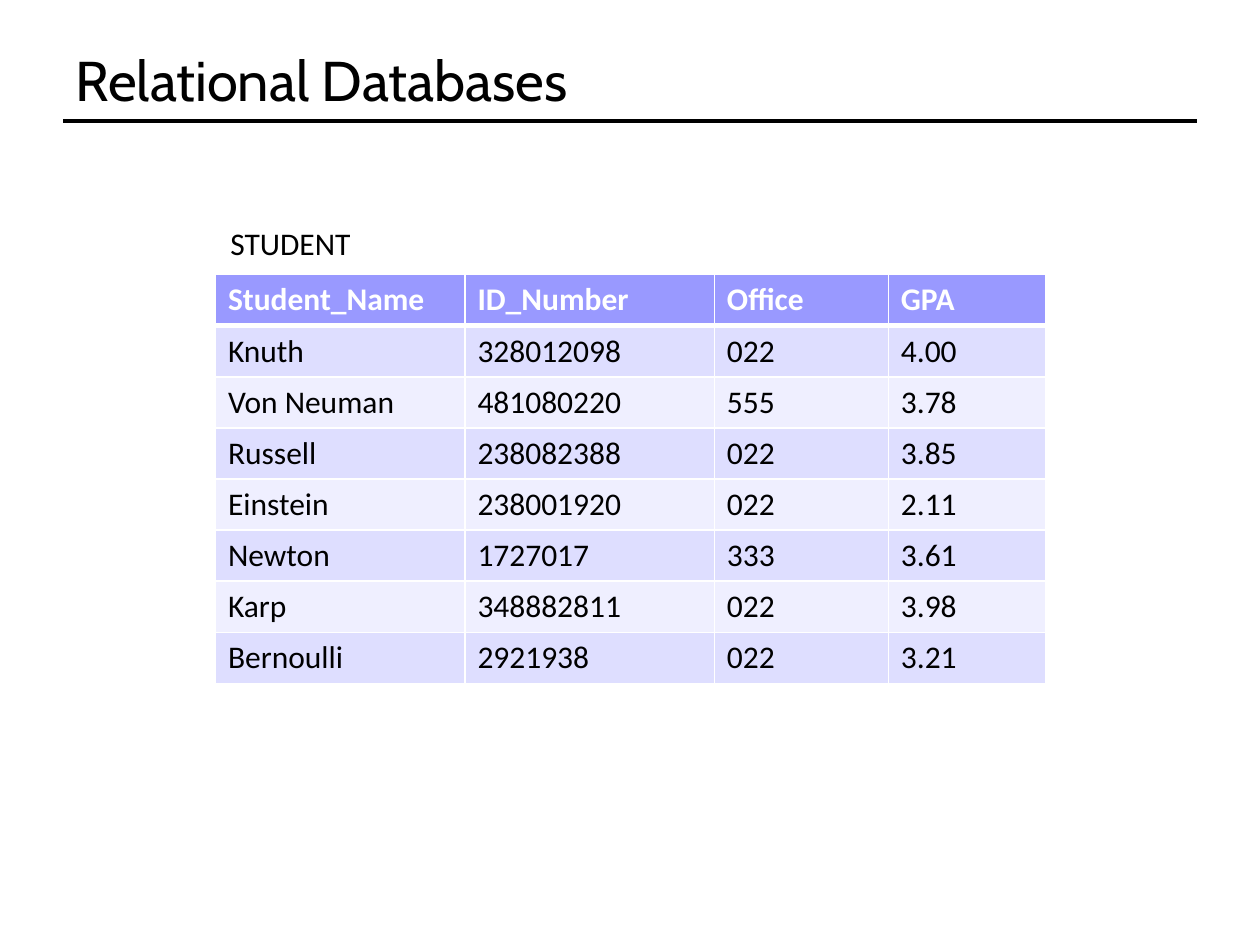
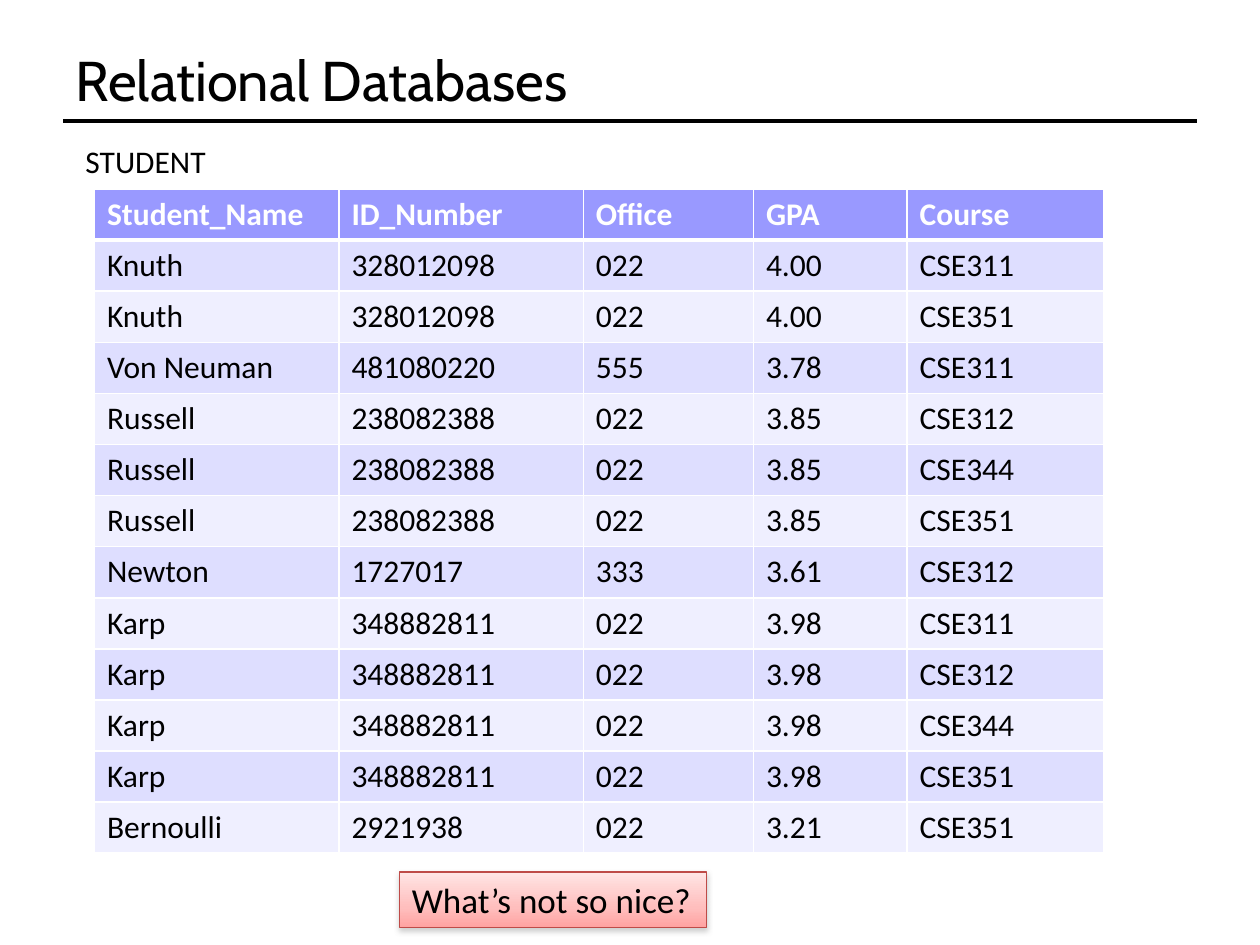
from lxml.etree import SubElement as Sub
from pptx import Presentation
from pptx.dml.color import RGBColor as Rgb
from pptx.enum.shapes import MSO_CONNECTOR as Conn, MSO_SHAPE as Shape
from pptx.enum.text import MSO_ANCHOR as Anchor, MSO_AUTO_SIZE as Auto, PP_ALIGN as Align
from pptx.oxml.ns import qn
from pptx.util import Inches, Pt

COLORS = {
    "ink": "000000", "white": "FFFFFF", "head": "9999FF",
    "odd": "DEDEFF", "even": "EFEFFF", "edge": "BE4B48", "shade": "808080",
}
BLUSH = [(0, "FFE5E5"), (65, "FFBEBD"), (100, "FFA2A1")]
HEADS = ["Student_Name", "ID_Number", "Office", "GPA"]
STUDENTS = {
    "Knuth": ("328012098", "022", "4.00"),
    "Von Neuman": ("481080220", "555", "3.78"),
    "Russell": ("238082388", "022", "3.85"),
    "Einstein": ("238001920", "022", "2.11"),
    "Newton": ("1727017", "333", "3.61"),
    "Karp": ("348882811", "022", "3.98"),
    "Bernoulli": ("2921938", "022", "3.21"),
}
COURSES = {
    "Knuth": ["CSE311", "CSE351"],
    "Von Neuman": ["CSE311"],
    "Russell": ["CSE312", "CSE344", "CSE351"],
    "Newton": ["CSE312"],
    "Karp": ["CSE311", "CSE312", "CSE344", "CSE351"],
    "Bernoulli": ["CSE351"],
}


def color(name):
    return Rgb.from_string(COLORS[name])


def write(frame, text, size=18, font="Calibri", ink="ink", bold=False):
    para = frame.paragraphs[0]
    para.alignment = Align.LEFT
    run = para.add_run()
    run.text = text
    run.font.size, run.font.name, run.font.bold = Pt(size), font, bold
    run.font.color.rgb = color(ink)


def add_text(slide, text, box, wrap=False, **style):
    frame = slide.shapes.add_textbox(*map(Inches, box)).text_frame
    frame.word_wrap = wrap
    frame.auto_size = Auto.NONE if wrap else Auto.SHAPE_TO_FIT_TEXT
    frame.vertical_anchor = Anchor.MIDDLE if wrap else Anchor.TOP
    write(frame, text, **style)


def add_rule(slide, left, right, y):
    line = slide.shapes.add_connector(
        Conn.STRAIGHT, Inches(left), Inches(y), Inches(right), Inches(y))
    line.line.color.rgb = color("ink")
    line.line.width = Pt(2)
    Sub(line._element.spPr, qn("a:effectLst"))


def add_slide(deck, title):
    slide = deck.slides.add_slide(deck.slide_layouts[6])
    add_rule(slide, 0.5, 9.5, 0.96)
    add_text(slide, title, (0.5, 0.3, 9, 0.66), wrap=True, size=32, font="Cabin")
    return slide


def set_edges(cell, row):
    """Draw white cell borders, thick between the header and the first row."""
    widths = {"L": 1, "R": 1, "T": 3 if row == 1 else 1, "B": 3 if row == 0 else 1}
    for side, width in widths.items():
        line = Sub(cell._tc.get_or_add_tcPr(), qn(f"a:ln{side}"), w=str(Pt(width)))
        Sub(Sub(line, qn("a:solidFill")), qn("a:srgbClr"), val=COLORS["white"])


def add_grid(slide, rows, box, widths):
    table = slide.shapes.add_table(len(rows), len(widths), *map(Inches, box)).table
    table.horz_banding = False
    for col, width in zip(table.columns, widths):
        col.width = Inches(width)
    for r, row in enumerate(rows):
        head = r == 0
        band = "head" if head else "odd" if r % 2 else "even"
        for c, text in enumerate(row):
            cell = table.cell(r, c)
            set_edges(cell, r)
            cell.fill.solid()
            cell.fill.fore_color.rgb = color(band)
            write(cell.text_frame, text, ink="white" if head else "ink", bold=head)


def set_blend(shape, stops):
    """Fill from top to bottom through (percent, hex) stops."""
    shape.fill.gradient()
    shape.fill.gradient_angle = 270
    marks = shape._element.spPr.find(".//" + qn("a:gsLst"))
    for old in list(marks):
        marks.remove(old)
    for place, tint in stops:
        mark = Sub(marks, qn("a:gs"), pos=str(place * 1000))
        Sub(mark, qn("a:srgbClr"), val=tint)


def set_shadow(shape):
    shape.shadow.inherit = False
    effects = shape._element.spPr.find(qn("a:effectLst"))
    shade = Sub(effects, qn("a:outerShdw"), blurRad=str(Pt(3.1)), dist=str(Pt(1.6)),
                dir="5400000", rotWithShape="0")
    tint = Sub(shade, qn("a:srgbClr"), val=COLORS["shade"])
    Sub(tint, qn("a:alpha"), val="38000")


def add_callout(slide, text, box):
    shape = slide.shapes.add_shape(Shape.RECTANGLE, *map(Inches, box))
    set_blend(shape, BLUSH)
    shape.line.color.rgb = color("edge")
    shape.line.width = Pt(0.75)
    set_shadow(shape)
    frame = shape.text_frame
    frame.word_wrap = False
    frame.auto_size = Auto.SHAPE_TO_FIT_TEXT
    frame.vertical_anchor = Anchor.TOP
    write(frame, text, size=20)


def main():
    deck = Presentation()
    deck.slide_width, deck.slide_height = Inches(10), Inches(7.5)
    title, label = "Relational Databases", "STUDENT"

    slide = add_slide(deck, title)
    rows = [HEADS] + [[name, *data] for name, data in STUDENTS.items()]
    add_grid(slide, rows, (1.71, 2.18, 6.58, 3.24), [1.98, 1.98, 1.38, 1.25])
    add_text(slide, label, (1.73, 1.73, 1.16, 0.4))

    slide = add_slide(deck, title)
    rows = [HEADS + ["Course"]] + [
        [name, *STUDENTS[name], course]
        for name, taken in COURSES.items() for course in taken]
    add_grid(slide, rows, (0.75, 1.5, 8, 5.27), [1.94, 1.94, 1.35, 1.22, 1.56])
    add_callout(slide, "What’s not so nice?", (3.17, 6.92, 2.44, 0.44))
    add_text(slide, label, (0.58, 1.08, 1.16, 0.4))

    deck.save("out.pptx")


if __name__ == "__main__":
    main()
